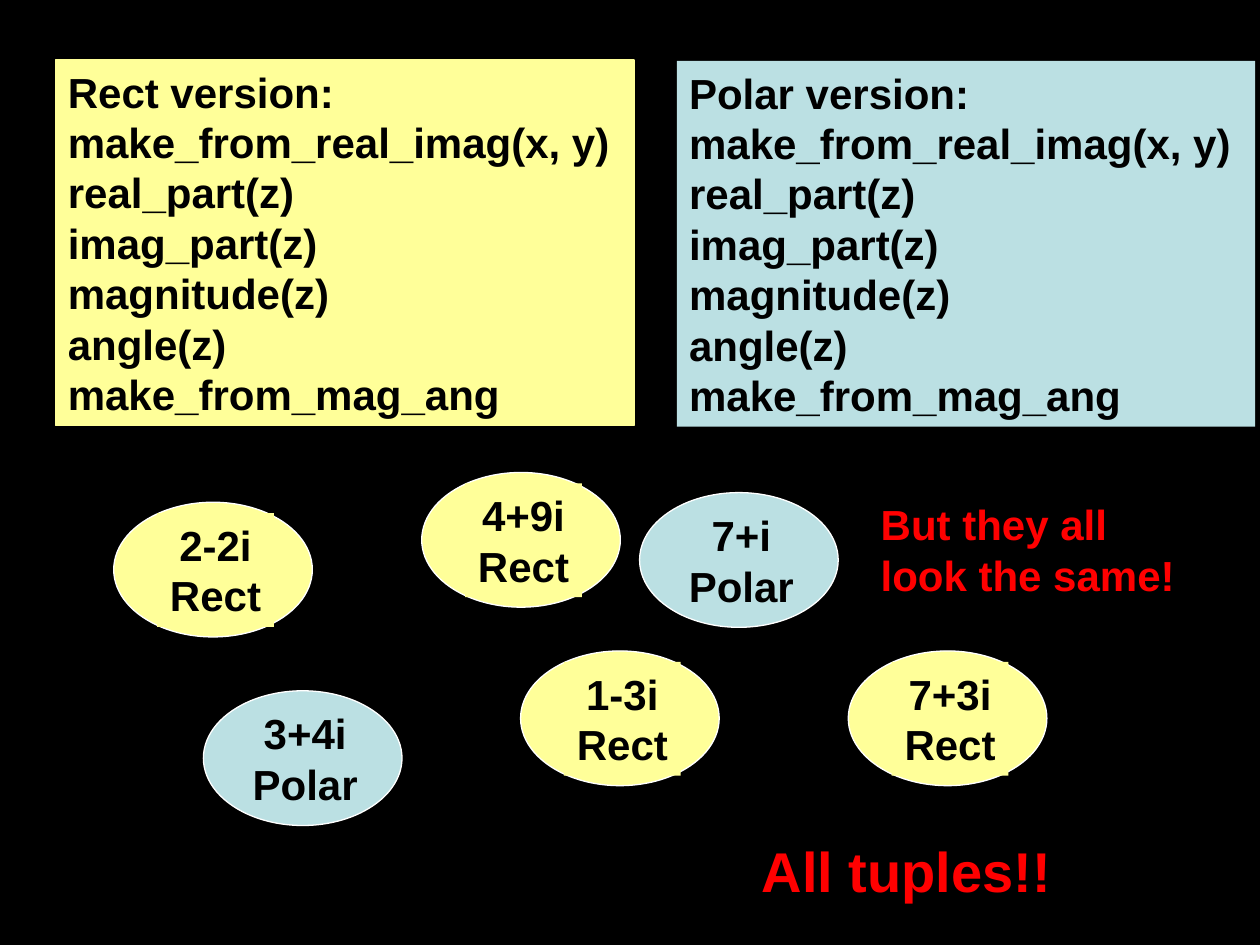
import dataclasses

import pptx
import pptx.dml.color
import pptx.enum.shapes
import pptx.enum.text
import pptx.util


@dataclasses.dataclass(frozen=True)
class Theme:
    """Colours, font and type sizes of the slide."""
    background: str = "000000"
    text: str = "000000"
    accent: str = "FF0000"
    outline: str = "FFFFFF"
    rect: str = "FFFF99"
    polar: str = "BBE0E3"
    font: str = "Arial"
    body: int = 24
    headline: int = 32


class SlideBuilder:
    """Draws panels, number bubbles and captions on the current slide."""

    def __init__(self, slide, theme):
        self.slide = slide
        self.theme = theme
        self.fill(slide.background, theme.background)

    def colour(self, value):
        return pptx.dml.color.RGBColor.from_string(value)

    def fill(self, target, value):
        target.fill.solid()
        target.fill.fore_color.rgb = self.colour(value)

    def outline(self, shape, value):
        shape.line.color.rgb = self.colour(value)
        shape.line.width = pptx.util.Pt(0.75)

    def text(self, shapes, box, lines, colour, size, alignment=pptx.enum.text.PP_ALIGN.LEFT):
        shape = shapes.add_textbox(*map(pptx.util.Pt, box))
        frame = shape.text_frame
        frame.word_wrap = False
        frame.auto_size = pptx.enum.text.MSO_AUTO_SIZE.SHAPE_TO_FIT_TEXT
        frame.margin_left = frame.margin_right = pptx.util.Pt(7)
        frame.text = "\n".join(lines)
        for paragraph in frame.paragraphs:
            paragraph.alignment = alignment
            paragraph.font.name = self.theme.font
            paragraph.font.size = pptx.util.Pt(size)
            paragraph.font.bold = True
            paragraph.font.color.rgb = self.colour(colour)
        return shape

    def panel(self, left, top, lines, colour):
        box = (left, top, 330.5, 209)
        shape = self.text(self.slide.shapes, box, lines, self.theme.text, self.theme.body)
        self.fill(shape, colour)
        return shape

    def bubble(self, left, top, number, kind):
        width, height, label_height = 113.5, 77, 65
        is_rect = kind == "Rect"
        colour = self.theme.rect if is_rect else self.theme.polar
        inset, label_width = (24.75, 66.75) if is_rect else (20.75, 74.75)
        shapes = self.slide.shapes.add_group_shape().shapes
        ellipse = shapes.add_shape(pptx.enum.shapes.MSO_SHAPE.OVAL,
                                   *map(pptx.util.Pt, (left, top, width, height)))
        ellipse.shadow.inherit = False
        self.fill(ellipse, colour)
        self.outline(ellipse, self.theme.outline)
        label = self.text(shapes, (left + inset, top + 6.25, label_width, label_height),
                          (number, kind), self.theme.text, self.theme.body,
                          pptx.enum.text.PP_ALIGN.CENTER)
        if is_rect:
            self.fill(label, colour)

    def caption(self, box, lines, size):
        self.text(self.slide.shapes, box, lines, self.theme.accent, size)


FUNCTIONS = ("make_from_real_imag(x, y)", "real_part(z)", "imag_part(z)",
             "magnitude(z)", "angle(z)", "make_from_mag_ang")

BUBBLES = (
    (116.25, 394.75, "3+4i", "Polar"),
    (297.5, 372, "1-3i", "Rect"),
    (365.5, 281.5, "7+i", "Polar"),
    (484.75, 372, "7+3i", "Rect"),
    (241, 270, "4+9i", "Rect"),
    (65, 287, "2-2i", "Rect"),
)


def main():
    theme = Theme()
    presentation = pptx.Presentation()
    presentation.slide_width = pptx.util.Pt(720)
    presentation.slide_height = pptx.util.Pt(540)
    builder = SlideBuilder(presentation.slides.add_slide(presentation.slide_layouts[6]), theme)
    for bubble in BUBBLES:
        builder.bubble(*bubble)
    rect_panel = builder.panel(31.75, 34.25, ("Rect version:", *FUNCTIONS), theme.rect)
    builder.outline(rect_panel, theme.rect)
    builder.panel(386.75, 34.75, ("Polar version:", *FUNCTIONS), theme.polar)
    builder.caption((496.25, 281.5, 184, 65), ("But they all", "look the same!"), theme.body)
    builder.caption((428.25, 474.5, 180, 46), ("All tuples!!",), theme.headline)
    presentation.save("out.pptx")


if __name__ == "__main__":
    main()
